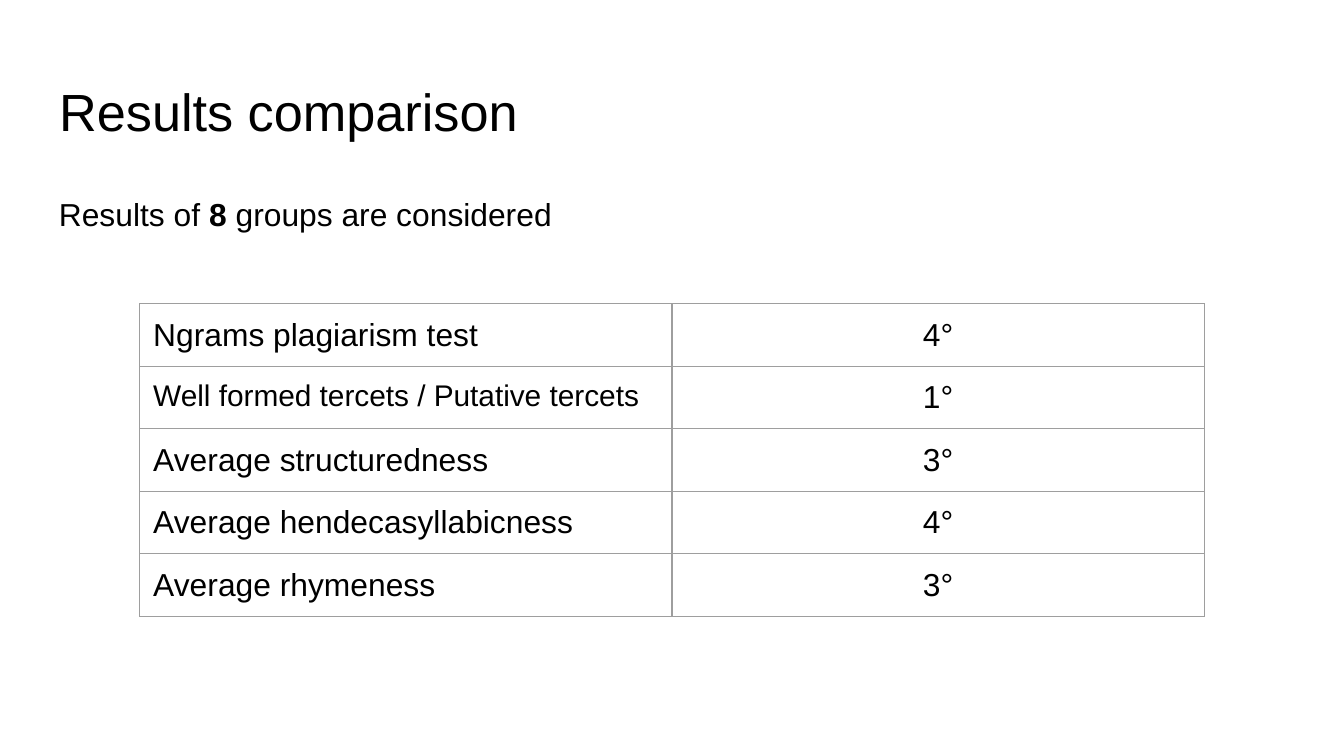
from lxml.etree import SubElement as Sub
from pptx import Presentation
from pptx.dml.color import RGBColor
from pptx.enum.text import MSO_ANCHOR as Anchor, MSO_AUTO_SIZE as Auto, PP_ALIGN as Align
from pptx.oxml.ns import qn
from pptx.util import Inches, Pt

BLACK = "000000"
GREY = "9E9E9E"
PAD = Inches(0.1)
ROWS = [
    ("Ngrams plagiarism test", "4°", 17),
    ("Well formed tercets / Putative tercets", "1°", 16),
    ("Average structuredness", "3°", 17),
    ("Average hendecasyllabicness", "4°", 17),
    ("Average rhymeness", "3°", 17),
]


def color(code):
    return RGBColor.from_string(code)


def write(frame, *parts, size=17, align=Align.LEFT):
    """Fill the first paragraph; every second part is bold."""
    para = frame.paragraphs[0]
    para.alignment = align
    for i, part in enumerate(parts):
        run = para.add_run()
        run.text = part
        font = run.font
        font.name, font.size, font.bold = "Arial", Pt(size), i % 2 == 1
        font.color.rgb = color(BLACK)


def pad(item):
    item.margin_left = item.margin_right = PAD
    item.margin_top = item.margin_bottom = PAD
    item.vertical_anchor = Anchor.TOP


def setup(frame):
    frame.word_wrap = True
    frame.auto_size = Auto.NONE
    pad(frame)


def border(cell):
    props = cell._tc.get_or_add_tcPr()
    for i, side in enumerate(("lnL", "lnR", "lnT", "lnB")):
        line = props.makeelement(qn(f"a:{side}"), {"w": str(Pt(0.75))})
        fill = Sub(line, qn("a:solidFill"))
        Sub(fill, qn("a:srgbClr"), val=GREY)
        props.insert(i, line)


def add_title(slide, text):
    title = slide.shapes.title
    title.left, title.top = Inches(0.34), Inches(0.49)
    title.width, title.height = Inches(9.32), Inches(0.63)
    setup(title.text_frame)
    write(title.text_frame, text, size=28)


def add_text(slide, *parts):
    box = slide.shapes.add_textbox(Inches(0.34), Inches(1.35), Inches(8.73), Inches(0.38))
    setup(box.text_frame)
    write(box.text_frame, *parts)


def add_ranks(slide):
    high = Inches(0.42)
    table = slide.shapes.add_table(
        len(ROWS), 2, Inches(1.04), Inches(2.26), Inches(7.92), high * len(ROWS)
    ).table
    table.first_row = table.horz_banding = False
    for row, (test, rank, size) in zip(table.rows, ROWS):
        row.height = high
        left, right = row.cells
        write(left.text_frame, test, size=size)
        write(right.text_frame, rank, align=Align.CENTER)
        for cell in (left, right):
            pad(cell)
            cell.fill.background()
            border(cell)


def main():
    deck = Presentation()
    wide = Inches(10)
    deck.slide_width, deck.slide_height = wide, wide * 9 // 16
    slide = deck.slides.add_slide(deck.slide_layouts[5])
    add_title(slide, "Results comparison")
    add_ranks(slide)
    add_text(slide, "Results of ", "8", " groups are considered")
    deck.save("out.pptx")


if __name__ == "__main__":
    main()
